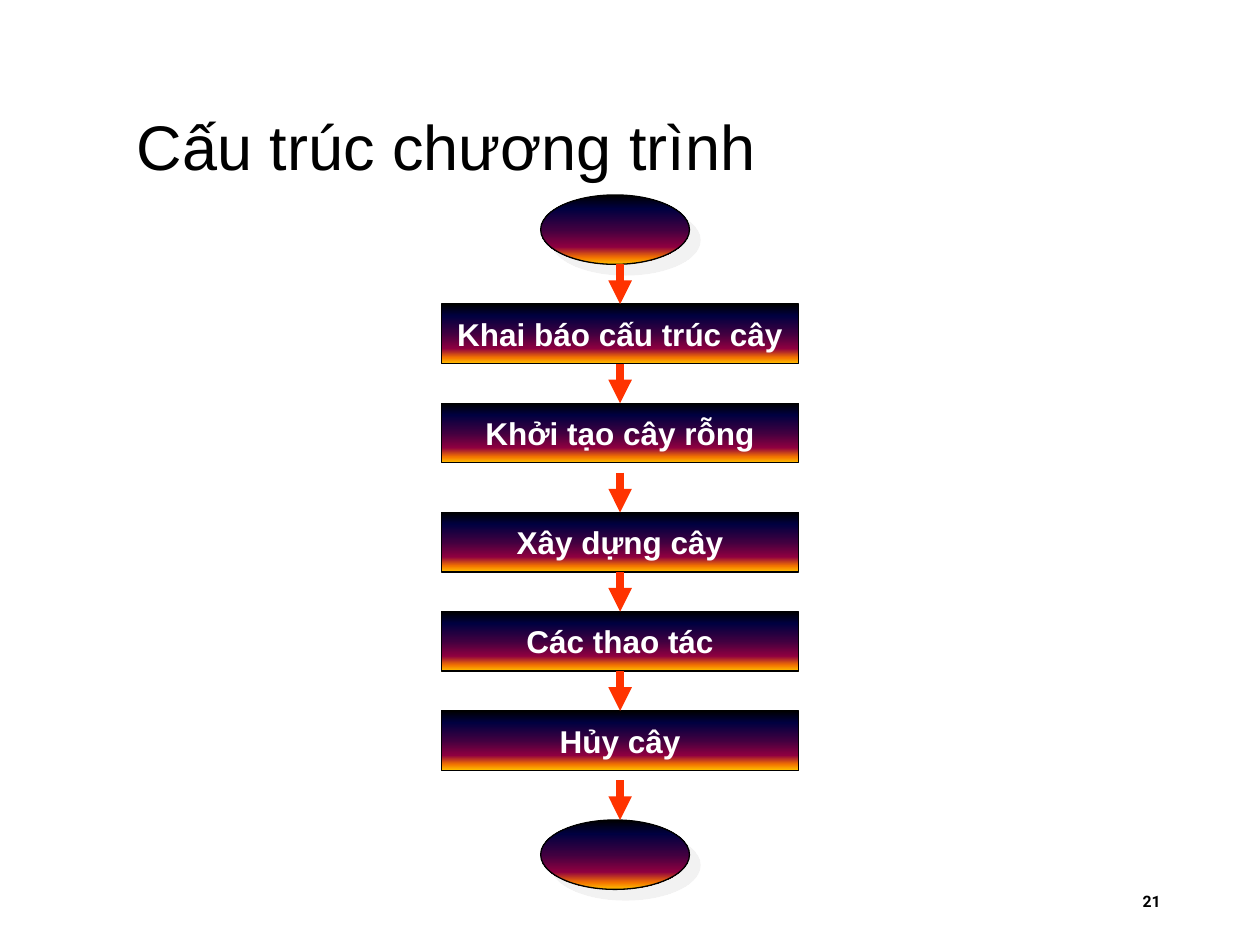
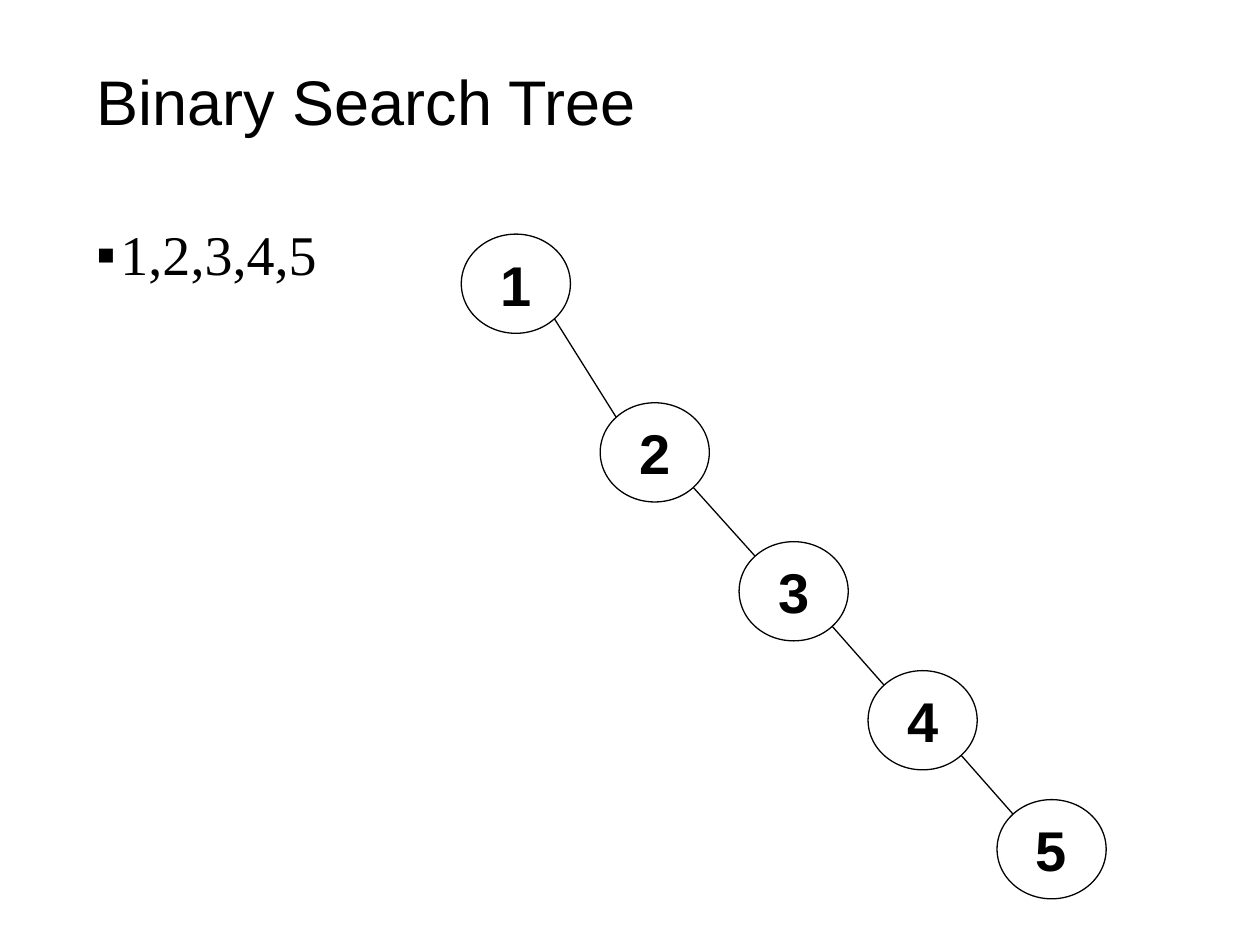
from collections import namedtuple
from itertools import pairwise
from math import sqrt

from lxml.etree import SubElement
from pptx import Presentation
from pptx.dml.color import RGBColor
from pptx.enum.shapes import MSO_CONNECTOR, MSO_SHAPE
from pptx.enum.text import MSO_ANCHOR, MSO_AUTO_SIZE, PP_ALIGN
from pptx.oxml.ns import qn
from pptx.util import Cm, Pt

Box = namedtuple("Box", "left top width height")  # centimetres

BLACK, WHITE = "000000", "FFFFFF"
ARROW_RED = "FF3300"
SHADOW_GREY = "E7E6E6"
SUNSET = [(0, "000000"), (20, "000040"), (50, "400040"),
          (75, "8F0040"), (90, "F27300"), (100, "FFBF00")]
TOP, BOTTOM = 0, 2
TITLE_ONLY = 5


def colour(hex_code):
    return RGBColor.from_string(hex_code)


def in_cm(box):
    return [Cm(length) for length in box]


def style_text(frame, text, size, hex_code, font="Arial", bold=False,
               align=PP_ALIGN.LEFT, anchor=MSO_ANCHOR.MIDDLE, wrap=True):
    frame.auto_size = MSO_AUTO_SIZE.NONE
    frame.word_wrap = wrap
    frame.vertical_anchor = anchor
    frame.text = text
    para = frame.paragraphs[0]
    para.alignment = align
    para.font.name = font
    para.font.size = Pt(size)
    para.font.bold = bold
    para.font.color.rgb = colour(hex_code)
    return para


def add_titled_page(deck, title, box):
    page = deck.slides.add_slide(deck.slide_layouts[TITLE_ONLY])
    holder = page.shapes.title
    holder.left, holder.top, holder.width, holder.height = in_cm(box)
    style_text(holder.text_frame, title, 36, BLACK)
    return page


def add_outlined(page, kind, box):
    shape = page.shapes.add_shape(kind, *in_cm(box))
    shape.shadow.inherit = False
    shape.fill.background()
    shape.line.color.rgb = colour(BLACK)
    shape.line.width = Pt(0.75)
    return shape


def add_line(page, start, end, hex_code, width):
    line = page.shapes.add_connector(
        MSO_CONNECTOR.STRAIGHT, *in_cm(start), *in_cm(end))
    line.line.color.rgb = colour(hex_code)
    line.line.width = Pt(width)
    SubElement(line.element.spPr, qn("a:effectLst"))
    return line


def add_arrow(page, start, end):
    arrow = add_line(page, start, end, ARROW_RED, 4.5)
    outline = arrow.element.spPr.find(qn("a:ln"))
    SubElement(outline, qn("a:tailEnd"), type="triangle")
    return arrow


def fill_sunset(shape):
    """Fill with the dark-to-amber gradient, running downwards."""
    shape.fill.gradient()
    shape.fill.gradient_angle = 270
    stops = shape.element.spPr.find(qn("a:gradFill")).find(qn("a:gsLst"))
    for stop in list(stops):
        stops.remove(stop)
    for percent, hex_code in SUNSET:
        stop = SubElement(stops, qn("a:gs"), pos=str(percent * 1000))
        SubElement(stop, qn("a:srgbClr"), val=hex_code)


def add_terminal(page, box):
    """Add a start or end ellipse with an offset shadow."""
    ellipse = add_outlined(page, MSO_SHAPE.OVAL, box)
    fill_sunset(ellipse)
    effects = ellipse.element.spPr.find(qn("a:effectLst"))
    shadow = SubElement(effects, qn("a:outerShdw"), blurRad="0",
                        dist=str(Pt(8.5)), dir=str(45 * 60000))
    tint = SubElement(shadow, qn("a:srgbClr"), val=SHADOW_GREY)
    SubElement(tint, qn("a:alpha"), val="50000")


def add_flowchart(page, box, steps, end_gap):
    """Stack steps of (label, gap before its arrow) between two ellipses."""
    step_height, arrow_length = 1.2, 0.8
    oval_width, oval_height, oval_shift = 3, 1.4, -0.1
    middle = box.left + box.width / 2
    oval_left = middle - oval_width / 2 + oval_shift

    add_terminal(page, Box(oval_left, box.top, oval_width, oval_height))
    bottom = box.top + oval_height
    previous = None
    for label, gap in steps:
        start = bottom + gap
        top = start + arrow_length
        step = add_outlined(page, MSO_SHAPE.RECTANGLE,
                            Box(box.left, top, box.width, step_height))
        fill_sunset(step)
        style_text(step.text_frame, label, 18, WHITE, bold=True,
                   align=PP_ALIGN.CENTER, wrap=False)
        arrow = add_arrow(page, (middle, start), (middle, top))
        if previous is not None and gap == 0:
            arrow.begin_connect(previous, BOTTOM)
        arrow.end_connect(step, TOP)
        previous, bottom = step, top + step_height

    start = bottom + end_gap
    end = start + arrow_length
    add_terminal(page, Box(oval_left, end, oval_width, oval_height))
    add_arrow(page, (middle, start), (middle, end))


def add_page_number(page, box, number):
    frame = page.shapes.add_textbox(*in_cm(box)).text_frame
    style_text(frame, number, 9, BLACK, font="Roboto", bold=True,
               align=PP_ALIGN.RIGHT)


def add_bullet(page, box, text):
    frame = page.shapes.add_textbox(*in_cm(box)).text_frame
    para = style_text(frame, text, 32, BLACK, font="Times New Roman",
                      anchor=MSO_ANCHOR.TOP)
    para.line_spacing = 0.9
    para.space_before = Pt(5)
    indent = Cm(0.48)
    properties = para._p.get_or_add_pPr()
    properties.set("marL", str(indent))
    properties.set("indent", str(-indent))
    SubElement(properties, qn("a:buFont"), typeface="Arial")
    SubElement(properties, qn("a:buChar"), char="▪")


def add_chain_tree(page, root, steps):
    """Draw a right-leaning tree; steps are the offsets between nodes."""
    nodes = [root]
    for right, down in steps:
        last = nodes[-1]
        nodes.append(last._replace(left=last.left + right, top=last.top + down))
    for key, node in enumerate(nodes, start=1):
        circle = add_outlined(page, MSO_SHAPE.OVAL, node)
        style_text(circle.text_frame, str(key), 32, BLACK, bold=True,
                   align=PP_ALIGN.CENTER, wrap=False)
    # Edges meet each ellipse on its diagonal.
    near, far = (1 - sqrt(0.5)) / 2, (1 + sqrt(0.5)) / 2
    for parent, child in pairwise(nodes):
        add_line(page,
                 (parent.left + far * parent.width, parent.top + far * parent.height),
                 (child.left + near * child.width, child.top + near * child.height),
                 BLACK, 0.75)


def build_program_page(deck):
    page = add_titled_page(deck, "Cấu trúc chương trình", Box(2.5, 1.73, 19.5, 2.4))
    add_page_number(page, Box(16.82, 17.65, 6.83, 1.02), "21")
    steps = [("Khai báo cấu trúc cây", 0), ("Khởi tạo cây rỗng", 0),
             ("Xây dựng cây", 0.2), ("Các thao tác", 0), ("Hủy cây", 0)]
    add_flowchart(page, Box(8.9, 3.93, 7.2, 14), steps, end_gap=0.2)


def build_tree_page(deck):
    page = add_titled_page(deck, "Binary Search Tree", Box(1.7, 0.64, 22.65, 2.75))
    add_bullet(page, Box(1.7, 4.45, 22.65, 12.5), "1,2,3,4,5")
    add_chain_tree(page, Box(9.3, 4.72, 2.2, 2),
                   [(2.8, 3.4), (2.8, 2.8), (2.6, 2.6), (2.6, 2.6)])


def main():
    deck = Presentation()
    deck.slide_width, deck.slide_height = Cm(25.4), Cm(19.05)
    build_program_page(deck)
    build_tree_page(deck)
    deck.save("out.pptx")


if __name__ == "__main__":
    main()
